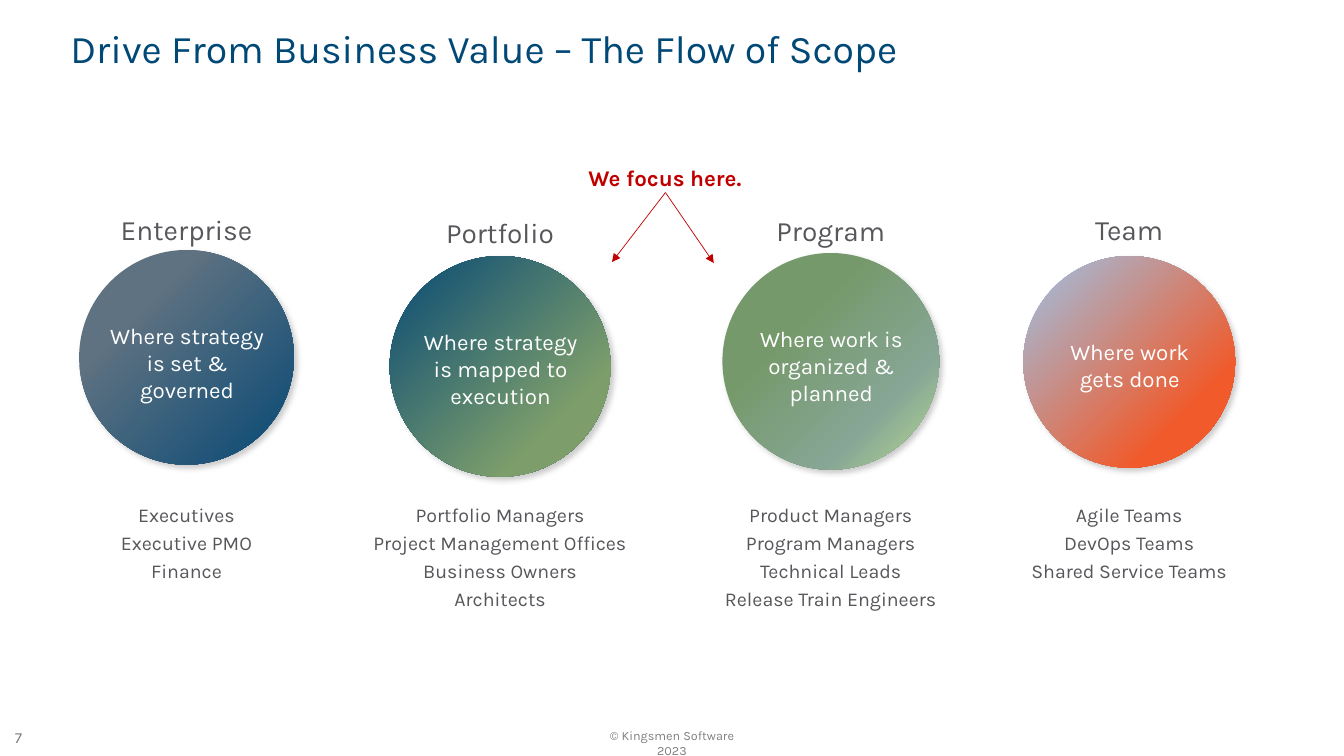
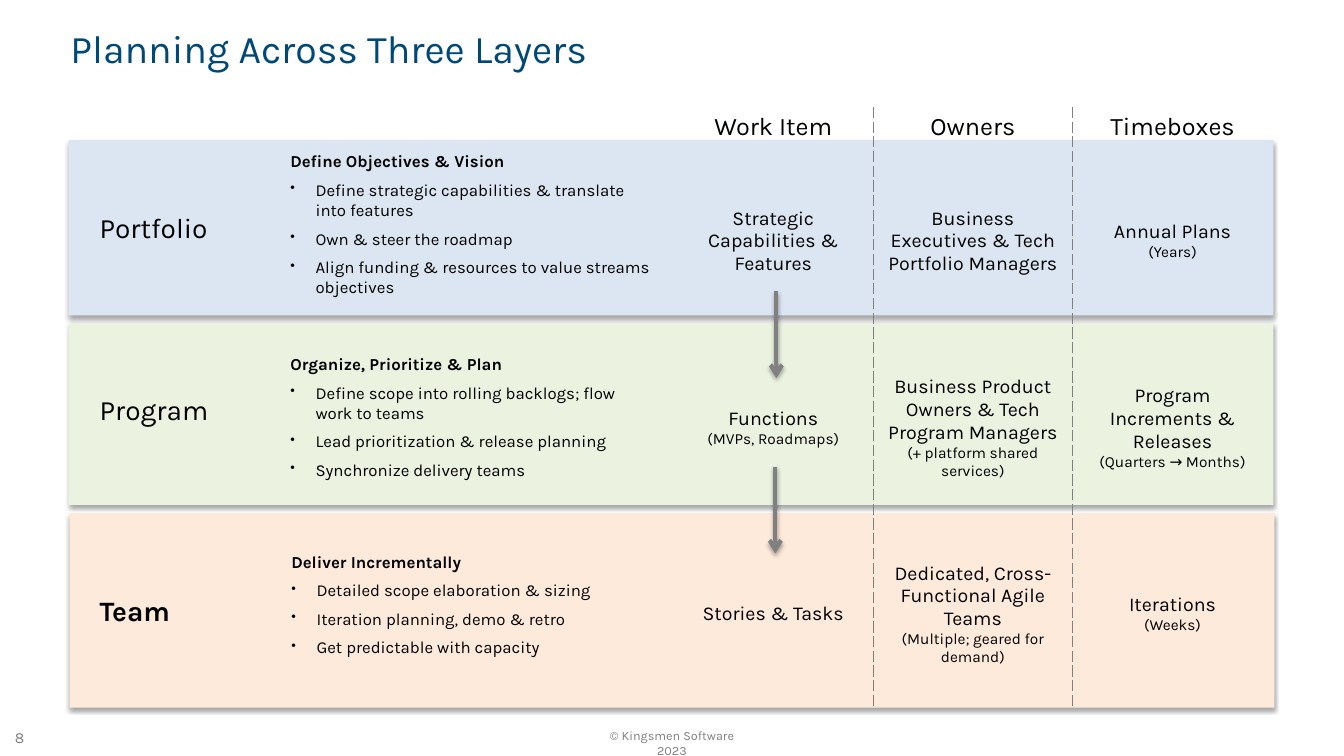
from pptx import Presentation
from pptx.dml.color import RGBColor
from pptx.enum.shapes import MSO_CONNECTOR as Connector, MSO_SHAPE as Shape
from pptx.enum.text import MSO_ANCHOR as Anchor, PP_ALIGN as Align
from pptx.oxml import parse_xml
from pptx.oxml.ns import nsdecls
from pptx.util import Inches, Pt

# Shared style
FONT = "Karla"
NAVY, SLATE, GRAY, RED = "004876", "57565A", "808080", "C00000"
BLACK, WHITE = "000000", "FFFFFF"
NS = nsdecls("a")
SHADOW = (
    f'<a:effectLst {NS}><a:outerShdw blurRad="{{blur}}" dist="{{dist}}" dir="{{angle}}" '
    'algn="ctr" rotWithShape="0"><a:srgbClr val="{color}"><a:alpha val="{alpha}"/>'
    '</a:srgbClr></a:outerShdw></a:effectLst>'
)
CIRCLE_SHADOW = SHADOW.format(blur=50800, dist=38100, angle=2700000, color=GRAY, alpha=40000)
BAND_SHADOW = SHADOW.format(blur=39370, dist=22860, angle=5400000, color=BLACK, alpha=35000)
NO_SHADOW = f"<a:effectLst {NS}/>"
BULLET = (
    f'<a:buClr {NS}><a:srgbClr val="{BLACK}"/></a:buClr>',
    f'<a:buSzPct {NS} val="80000"/>',
    f'<a:buChar {NS} char="•"/>',
)


def rgb(code):
    return RGBColor.from_string(code)


def write(target, lines, place=None, size=14, color=BLACK, bold=False, align=Align.LEFT,
          spacing=None, before=0, indent=None, bullets=False, inset=None,
          anchor=Anchor.TOP, wrap=True, fill=None):
    """Write lines into a new box on a slide, or into a table cell if no place is given.

    A line is a string, or a pair of string and size. With bullets, the first line is a heading.
    """
    if place:
        box = target.shapes.add_textbox(*map(Inches, place))
        frame = box.text_frame
        frame.word_wrap = wrap
        if fill:
            box.fill.solid()
            box.fill.fore_color.rgb = rgb(fill)
        if inset is not None:
            frame.margin_left = frame.margin_right = Inches(inset)
            frame.margin_top = frame.margin_bottom = Inches(inset)
    else:
        frame = target.text_frame
    (frame if place else target).vertical_anchor = anchor
    for i, line in enumerate(lines):
        content, points = (line, size) if isinstance(line, str) else line
        paragraph = frame.add_paragraph() if i else frame.paragraphs[0]
        paragraph.alignment = align
        if spacing:
            paragraph.line_spacing = spacing
        if before and i:
            paragraph.space_before = Pt(before)
        properties = paragraph._p.get_or_add_pPr()
        if bullets and i:
            properties.set("marL", str(Inches(0.31)))
            properties.set("indent", str(Inches(-0.25)))
            for element in BULLET:
                properties.append(parse_xml(element))
        elif indent:
            properties.set("marL", str(Inches(indent)))
        run = paragraph.add_run()
        run.text = content
        run.font.name = FONT
        run.font.size = Pt(points)
        run.font.bold = bold and not (bullets and i)
        run.font.color.rgb = rgb(color)


prs = Presentation()
prs.slide_width, prs.slide_height = Inches(13.33), Inches(7.5)

# Titles and footers
slides = []
for number, title in ((7, "Drive From Business Value – The Flow of Scope"),
                      (8, "Planning Across Three Layers")):
    slide = prs.slides.add_slide(prs.slide_layouts[6])
    write(slide, ["© Kingsmen Software 2023"], (5.88, 7.17, 1.57, 0.25), size=9,
          color=GRAY, align=Align.CENTER)
    write(slide, [str(number)], (0.05, 7.17, 0.36, 0.29), size=11, color=GRAY, wrap=False)
    write(slide, [title], (0.6, 0.22, 11.5, 0.57), size=28, color=NAVY, spacing=0.9,
          anchor=Anchor.MIDDLE)
    slides.append(slide)
scope, planning = slides

# Scope: level, centre, level top, circle top, diameter, gradient, purpose top, purpose, roles
levels = [
    ("Enterprise", 1.85, 2.06, 2.48, 2.13, ((0, "5F7281"), (27, "5F7281"), (100, "074975")),
     3.15, ["Where strategy is set & governed"], ["Executives", "Executive PMO", "Finance"]),
    ("Portfolio", 4.96, 2.09, 2.54, 2.19, ((0, "074975"), (76, "7D9E6B"), (100, "7D9E6B")),
     3.21, ["Where strategy is mapped to execution"],
     ["Portfolio Managers", "Project Management Offices", "Business Owners", "Architects"]),
    ("Program", 8.24, 2.07, 2.51, 2.15, ((33, "76996B"), (73, "87A695"), (100, "B7DB93")),
     3.18, ["Where work is organized & planned"],
     ["Product Managers", "Program Managers", "Technical Leads", "Release Train Engineers"]),
    ("Team", 11.2, 2.06, 2.54, 2.1, ((0, "9DC3E6"), (76, "F15A2B"), (100, "F15A2B")),
     3.31, ["Where work", "gets done"],
     ["Agile Teams", "DevOps Teams", "Shared Service Teams"]),
]
for level, center, level_top, top, diameter, stops, purpose_top, purpose, roles in levels:
    circle = scope.shapes.add_shape(
        Shape.OVAL, *map(Inches, (center - diameter / 2, top, diameter, diameter)))
    gradient = "".join(f'<a:gs pos="{position * 1000}"><a:srgbClr val="{color}"/></a:gs>'
                       for position, color in stops)
    circle.element.spPr.append(parse_xml(
        f'<a:gradFill {NS} rotWithShape="1"><a:gsLst>{gradient}</a:gsLst>'
        '<a:lin ang="2700000" scaled="0"/></a:gradFill>'))
    circle.line.fill.background()
    circle.element.spPr.append(parse_xml(CIRCLE_SHADOW))
    write(scope, [level], (center - 0.82, level_top, 1.64, 0.44), size=20, color=SLATE,
          align=Align.CENTER)
    write(scope, purpose, (center - 0.95, purpose_top, 1.91, 0.91), size=16, color=WHITE,
          align=Align.CENTER)
    write(scope, roles, (center - 1.39, 4.89, 2.78, 1.22), color=SLATE, spacing=1.2,
          align=Align.CENTER)
write(scope, ["We focus here."], (5.7, 1.58, 1.79, 0.37), size=16, color=RED, bold=True,
      align=Align.CENTER, fill=WHITE)

# Planning: layer, bold, name top, band (left, top, height, colour), duties (left, top, width), lines
layers = [
    ("Portfolio", False, 2.04, (0.68, 1.39, 1.74, "DCE6F2"), (2.82, 1.5, 3.63),
     ["Define Objectives & Vision", "Define strategic capabilities & translate into features",
      "Own & steer the roadmap", "Align funding & resources to value streams objectives"]),
    ("Program", False, 3.84, (0.68, 3.21, 1.8, "EBF2E0"), (2.82, 3.51, 3.38),
     ["Organize, Prioritize & Plan", "Define scope into rolling backlogs; flow work to teams",
      "Lead prioritization & release planning", "Synchronize delivery teams"]),
    ("Team", True, 5.84, (0.69, 5.09, 1.93, "FEEADB"), (2.83, 5.47, 3.31),
     ["Deliver Incrementally", "Detailed scope elaboration & sizing",
      "Iteration planning, demo & retro", "Get predictable with capacity"]),
]
for layer, bold, name_top, (left, top, height, color), duties_place, duties in layers:
    band = planning.shapes.add_shape(
        Shape.RECTANGLE, *map(Inches, (left, top, 11.95, height)))
    band.fill.solid()
    band.fill.fore_color.rgb = rgb(color)
    band.line.fill.background()
    band.element.spPr.append(parse_xml(BAND_SHADOW))
    write(planning, [layer], (0.89, name_top, 1.5, 0.44), size=20, bold=bold)
    write(planning, duties, (*duties_place, 1.4), size=12, bold=True, before=6,
          indent=0.06, bullets=True, inset=0)

# Planning: table of work items, owners and timeboxes
rows = [
    [["Work Item"], ["Owners"], ["Timeboxes"]],
    [["Strategic Capabilities & Features"],
     ["Business Executives & Tech Portfolio Managers"],
     ["Annual Plans", ("(Years)", 11)]],
    [["Functions", ("(MVPs, Roadmaps)", 11)],
     ["Business Product Owners & Tech Program Managers", ("(+ platform shared services)", 11)],
     ["Program Increments & Releases", ("(Quarters → Months)", 11)]],
    [["Stories & Tasks"],
     ["Dedicated, Cross-Functional Agile Teams", ("(Multiple; geared for demand)", 11)],
     ["Iterations", ("(Weeks)", 11)]],
]
DASHED = f'<a:solidFill><a:srgbClr val="{GRAY}"/></a:solidFill><a:prstDash val="sysDash"/>'
grid = planning.shapes.add_table(4, 3, *map(Inches, (6.68, 1.06, 5.94, 5.96))).table
grid.first_row = grid.horz_banding = False
for column in grid.columns:
    column.width = Inches(1.98)
for r, row in enumerate(rows):
    grid.rows[r].height = Inches(1.85 if r else 0.41)
    for c, lines in enumerate(row):
        cell = grid.cell(r, c)
        write(cell, lines, size=14 if r else 18, align=Align.CENTER,
              anchor=Anchor.MIDDLE if r else Anchor.TOP)
        cell.fill.background()
        dashed_sides = {"L": c > 0, "R": c < 2}
        for i, side in enumerate("LRTB"):
            stroke = DASHED if dashed_sides.get(side) else "<a:noFill/>"
            cell._tc.get_or_add_tcPr().insert(i, parse_xml(
                f'<a:ln{side} {NS} w="12700">{stroke}</a:ln{side}>'))

# Arrows of both slides
arrows = [
    (scope, (6.6, 1.91, 6.07, 2.6), RED, 0.5, "triangle", NO_SHADOW),
    (scope, (6.6, 1.91, 7.08, 2.61), RED, 0.5, "triangle", NO_SHADOW),
    (planning, (7.7, 2.89, 7.7, 3.75), GRAY, 3, "arrow", BAND_SHADOW),
    (planning, (7.69, 4.63, 7.69, 5.49), GRAY, 3, "arrow", BAND_SHADOW),
]
for slide, ends, color, width, head, shadow in arrows:
    arrow = slide.shapes.add_connector(Connector.STRAIGHT, *map(Inches, ends))
    arrow.line.color.rgb = rgb(color)
    arrow.line.width = Pt(width)
    arrow.line._get_or_add_ln().append(parse_xml(f'<a:tailEnd {NS} type="{head}"/>'))
    arrow._element.spPr.append(parse_xml(shadow))

prs.save("out.pptx")
